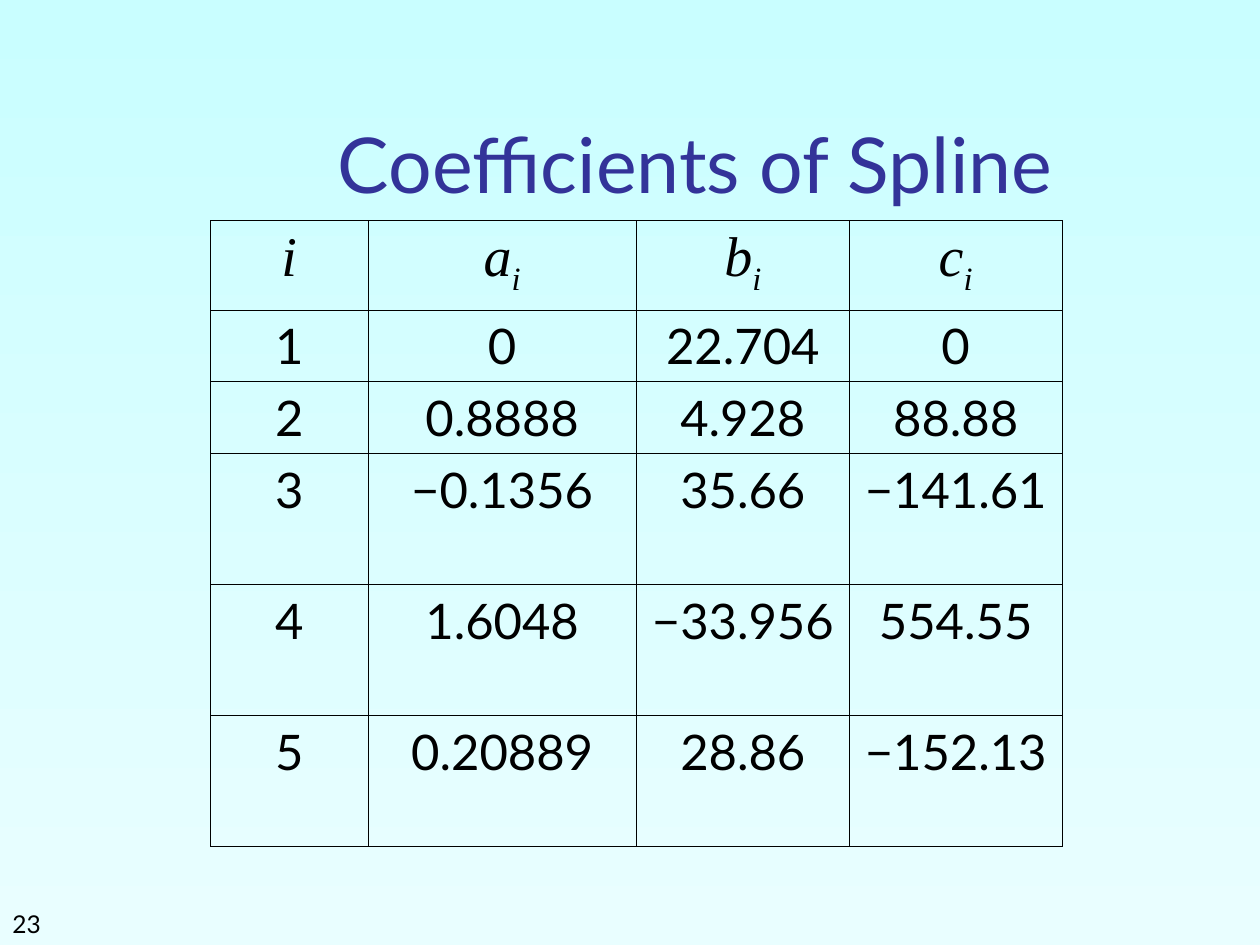
from dataclasses import dataclass
from typing import NamedTuple

from lxml.etree import SubElement
from pptx import Presentation
from pptx.dml.color import RGBColor
from pptx.enum.text import MSO_ANCHOR as Anchor, MSO_AUTO_SIZE as AutoSize, PP_ALIGN as Align
from pptx.oxml.ns import qn
from pptx.util import Inches, Pt


@dataclass(frozen=True)
class Theme:
    background_top: RGBColor = RGBColor.from_string("C9FEFF")
    background_bottom: RGBColor = RGBColor.from_string("E9FEFF")
    title: RGBColor = RGBColor.from_string("333399")
    ink: RGBColor = RGBColor.from_string("000000")
    text_font: str = "Lato"
    symbol_font: str = "Times New Roman"
    title_size: Pt = Pt(44)
    symbol_size: Pt = Pt(32)
    value_size: Pt = Pt(28)
    number_size: Pt = Pt(14)
    border_width: Pt = Pt(0.45)


class Box(NamedTuple):
    left: float
    top: float
    width: float
    height: float


class Symbol(NamedTuple):
    letter: str
    subscript: str = ""


THEME = Theme()
TITLE_BOX = Box(1.26, 0.67, 8.52, 1.25)
NUMBER_BOX = Box(0, 7.25, 2.08, 0.25)
COLUMN_WIDTHS = [1.25, 2.13, 1.69, 1.69]
ROW_HEIGHTS = [0.71] + [0.57] * 2 + [1.04] * 3
TABLE_BOX = Box(1.67, 1.75, sum(COLUMN_WIDTHS), sum(ROW_HEIGHTS))
SYMBOLS = [Symbol("i"), Symbol("a", "i"), Symbol("b", "i"), Symbol("c", "i")]
COEFFICIENTS = [
    ["0", "22.704", "0"],
    ["0.8888", "4.928", "88.88"],
    ["−0.1356", "35.66", "−141.61"],
    ["1.6048", "−33.956", "554.55"],
    ["0.20889", "28.86", "−152.13"],
]

TITLE_FORMAT = {"name": THEME.text_font, "size": THEME.title_size, "bold": False}
NUMBER_FORMAT = {"name": THEME.text_font, "size": THEME.number_size}
VALUE_FORMAT = {"name": THEME.text_font, "size": THEME.value_size, "bold": False}
SYMBOL_FORMAT = {
    "name": THEME.symbol_font,
    "size": THEME.symbol_size,
    "bold": False,
    "italic": True,
}


def inches(box: Box) -> list:
    return [Inches(length) for length in box]


def add_run(paragraph, text: str, formats: dict, color: RGBColor = THEME.ink):
    run = paragraph.add_run()
    run.text = text
    for name, value in formats.items():
        setattr(run.font, name, value)
    run.font.color.rgb = color
    return run


def paint_background(slide) -> None:
    fill = slide.background.fill
    fill.gradient()
    fill.gradient_angle = 270
    colors = (THEME.background_top, THEME.background_bottom)
    for stop, color, position in zip(fill.gradient_stops, colors, (0, 1)):
        stop.color.rgb = color
        stop.position = position


def place_title(slide, text: str) -> None:
    title = slide.shapes.title
    for name, length in zip(Box._fields, inches(TITLE_BOX)):
        setattr(title, name, length)
    frame = title.text_frame
    frame.auto_size = AutoSize.NONE
    frame.vertical_anchor = Anchor.MIDDLE
    paragraph = frame.paragraphs[0]
    paragraph.alignment = Align.CENTER
    add_run(paragraph, text, TITLE_FORMAT, THEME.title)


def add_slide_number(slide, text: str) -> None:
    frame = slide.shapes.add_textbox(*inches(NUMBER_BOX)).text_frame
    frame.word_wrap = True
    frame.vertical_anchor = Anchor.BOTTOM
    add_run(frame.paragraphs[0], text, NUMBER_FORMAT)


def format_cell(cell) -> None:
    properties = cell._tc.get_or_add_tcPr()
    for side in ("a:lnL", "a:lnR", "a:lnT", "a:lnB"):
        line = SubElement(properties, qn(side), w=str(int(THEME.border_width)))
        solid = SubElement(line, qn("a:solidFill"))
        SubElement(solid, qn("a:srgbClr"), val=str(THEME.ink))
    cell.fill.background()
    cell.text_frame.paragraphs[0].alignment = Align.CENTER


def write_symbol(cell, symbol: Symbol) -> None:
    paragraph = cell.text_frame.paragraphs[0]
    add_run(paragraph, symbol.letter, SYMBOL_FORMAT)
    if symbol.subscript:
        run = add_run(paragraph, symbol.subscript, SYMBOL_FORMAT)
        run._r.get_or_add_rPr().set("baseline", "-25000")


def add_coefficient_table(slide) -> None:
    frame = slide.shapes.add_table(
        len(ROW_HEIGHTS), len(COLUMN_WIDTHS), *inches(TABLE_BOX)
    )
    table = frame.table
    table.first_row = table.horz_banding = False
    for column, width in zip(table.columns, COLUMN_WIDTHS):
        column.width = Inches(width)
    for row, height in zip(table.rows, ROW_HEIGHTS):
        row.height = Inches(height)
    for cell in table.iter_cells():
        format_cell(cell)
    for column, symbol in enumerate(SYMBOLS):
        write_symbol(table.cell(0, column), symbol)
    for index, coefficients in enumerate(COEFFICIENTS, start=1):
        for column, text in enumerate([str(index), *coefficients]):
            paragraph = table.cell(index, column).text_frame.paragraphs[0]
            add_run(paragraph, text, VALUE_FORMAT)


def main() -> None:
    presentation = Presentation()
    presentation.slide_width = Inches(10)
    presentation.slide_height = Inches(7.5)
    slide = presentation.slides.add_slide(presentation.slide_layouts[5])
    paint_background(slide)
    add_slide_number(slide, "23")
    place_title(slide, "Coefficients of Spline")
    add_coefficient_table(slide)
    presentation.save("out.pptx")


if __name__ == "__main__":
    main()
